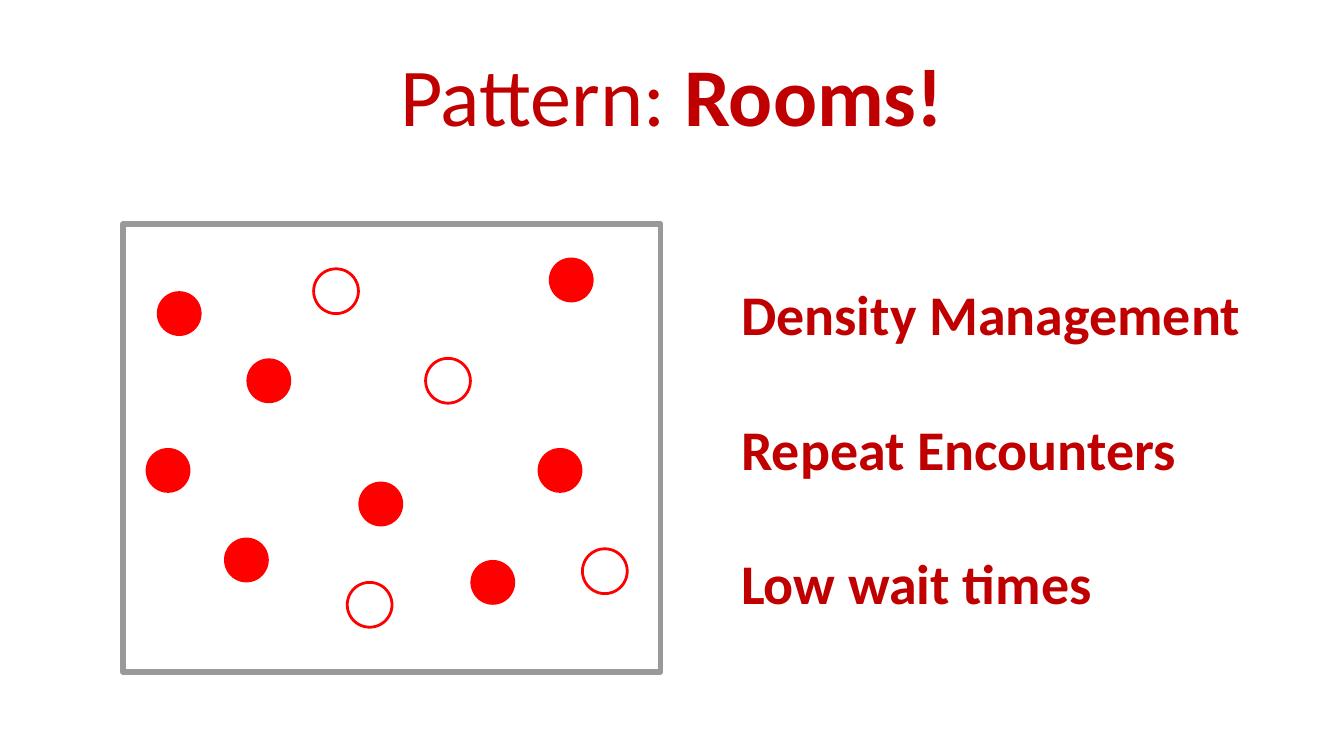
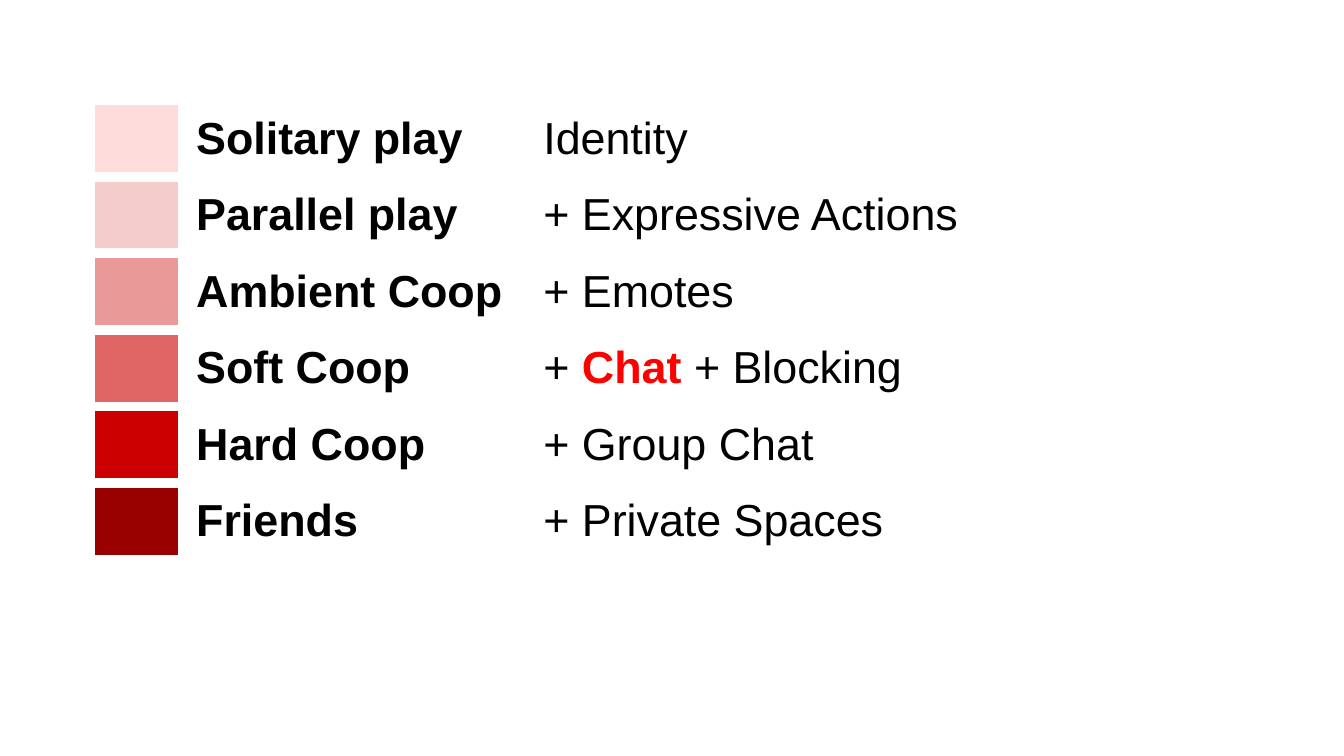
from typing import NamedTuple, Optional

import pptx
import pptx.dml.color
import pptx.enum.shapes
import pptx.enum.text
import pptx.oxml
import pptx.oxml.ns
import pptx.util

RGBColor = pptx.dml.color.RGBColor
MSO_SHAPE = pptx.enum.shapes.MSO_SHAPE
MSO_ANCHOR = pptx.enum.text.MSO_ANCHOR
PP_ALIGN = pptx.enum.text.PP_ALIGN

WHITE = RGBColor(0xFF, 0xFF, 0xFF)
BLACK = RGBColor(0x00, 0x00, 0x00)
RED = RGBColor(0xFF, 0x00, 0x00)
DARK_RED = RGBColor(0xC0, 0x00, 0x00)
GREY = RGBColor(0x99, 0x99, 0x99)

HEADING_FONT = "Calibri"
TABLE_FONT = "Arial"
WIDTH = pptx.util.Inches(10)
HEIGHT = pptx.util.Inches(5.625)
UNIT = WIDTH / 120
DOT_SIZE = 4


class Box(NamedTuple):
    col: float
    row: float
    cols: float
    rows: float

    def emu(self) -> list[int]:
        return [round(v * UNIT) for v in self]


class Dot(NamedTuple):
    col: int
    row: int
    filled: bool = True


class Span(NamedTuple):
    text: str
    bold: bool = False
    color: RGBColor = BLACK


class Stage(NamedTuple):
    color: RGBColor
    name: str
    features: list[Span]


TITLE = Box(6, 2.7, 108, 11.25)
ROOM = Box(11, 20, 48, 40)
BENEFITS = Box(65, 20, 51, 40)
TABLE = Box(8.04, 8.95, 105, 30)
COLUMN_UNITS = (8.28, 31, 65.72)

DOTS = [
    Dot(14, 26), Dot(22, 32), Dot(13, 40), Dot(32, 43),
    Dot(48, 40), Dot(42, 50), Dot(20, 48), Dot(49, 23),
    Dot(28, 24, False), Dot(38, 32, False),
    Dot(31, 52, False), Dot(52, 49, False),
]

STAGES = [
    Stage(RGBColor(0xFF, 0xDB, 0xDB), "Solitary play", [Span("Identity")]),
    Stage(RGBColor(0xF4, 0xCC, 0xCC), "Parallel play", [Span("+ Expressive Actions")]),
    Stage(RGBColor(0xEA, 0x99, 0x99), "Ambient Coop", [Span("+ Emotes")]),
    Stage(RGBColor(0xE0, 0x66, 0x66), "Soft Coop",
          [Span("+ "), Span("Chat ", True, RED), Span("+ Blocking")]),
    Stage(RGBColor(0xCC, 0x00, 0x00), "Hard Coop", [Span("+ Group Chat")]),
    Stage(RGBColor(0x99, 0x00, 0x00), "Friends", [Span("+ Private Spaces")]),
]


def write(p, spans: list[Span], font: str, size: float) -> None:
    for span in spans:
        r = p.add_run()
        r.text = span.text
        if len(spans) > 1:
            r.font.bold = span.bold
            r.font.color.rgb = span.color
    p.font.name = font
    p.font.size = pptx.util.Pt(size)
    if len(spans) == 1:
        p.font.bold = spans[0].bold
        p.font.color.rgb = spans[0].color


def add_heading(s, box: Box, lines: list[list[Span]], size: float,
                align: PP_ALIGN, gap: float = 0) -> None:
    tf = s.shapes.add_textbox(*box.emu()).text_frame
    tf.word_wrap = True
    tf.vertical_anchor = MSO_ANCHOR.MIDDLE
    for i, spans in enumerate(lines):
        p = tf.add_paragraph() if i else tf.paragraphs[0]
        p.alignment = align
        if i and gap:
            p.space_before = pptx.util.Pt(gap)
        write(p, spans, HEADING_FONT, size)


def add_figure(s, kind: MSO_SHAPE, box: Box, fill: Optional[RGBColor],
               line: Optional[RGBColor] = None, weight: float = 0) -> None:
    sp = s.shapes.add_shape(kind, *box.emu())
    sp.shadow.inherit = False
    if fill is None:
        sp.fill.background()
    else:
        sp.fill.solid()
        sp.fill.fore_color.rgb = fill
    if line is None:
        sp.line.fill.background()
    else:
        sp.line.color.rgb = line
        sp.line.width = pptx.util.Pt(weight)


def set_borders(cell, color: RGBColor, weight: float) -> None:
    tcPr = cell._tc.get_or_add_tcPr()
    ns = pptx.oxml.ns.nsdecls("a")
    for i, side in enumerate(("lnL", "lnR", "lnT", "lnB")):
        tcPr.insert(i, pptx.oxml.parse_xml(
            f'<a:{side} {ns} w="{pptx.util.Pt(weight)}"><a:solidFill>'
            f'<a:srgbClr val="{color}"/></a:solidFill></a:{side}>'))


def build_rooms(s) -> None:
    add_heading(s, TITLE, [[Span("Pattern: ", False, DARK_RED), Span("Rooms!", True, DARK_RED)]],
                44, PP_ALIGN.CENTER)
    add_figure(s, MSO_SHAPE.RECTANGLE, ROOM, None, GREY, 3)
    for dot in DOTS:
        box = Box(dot.col, dot.row, DOT_SIZE, DOT_SIZE)
        if dot.filled:
            add_figure(s, MSO_SHAPE.OVAL, box, RED)
        else:
            add_figure(s, MSO_SHAPE.OVAL, box, None, RED, 1.5)
    benefits = ("Density Management", "Repeat Encounters", "Low wait times")
    add_heading(s, BENEFITS, [[Span(b, True, DARK_RED)] for b in benefits],
                30, PP_ALIGN.LEFT, 36)


def build_stages(s) -> None:
    table = s.shapes.add_table(len(STAGES), len(COLUMN_UNITS), *TABLE.emu()).table
    table.first_row = False
    table.horz_banding = False
    for column, units in zip(table.columns, COLUMN_UNITS):
        column.width = round(units * UNIT)
    for row, stage in zip(table.rows, STAGES):
        contents = ([], [Span(stage.name, True)], stage.features)
        for cell, spans in zip(row.cells, contents):
            cell.margin_left = cell.margin_right = pptx.util.Inches(0.1)
            cell.margin_top = cell.margin_bottom = pptx.util.Inches(0.085)
            cell.vertical_anchor = MSO_ANCHOR.MIDDLE
            if spans:
                cell.fill.background()
                write(cell.text_frame.paragraphs[0], spans, TABLE_FONT, 24)
            else:
                cell.fill.solid()
                cell.fill.fore_color.rgb = stage.color
            set_borders(cell, WHITE, 6)


def main() -> None:
    prs = pptx.Presentation()
    prs.slide_width = WIDTH
    prs.slide_height = HEIGHT
    for build in (build_rooms, build_stages):
        build(prs.slides.add_slide(prs.slide_layouts[6]))
    prs.save("out.pptx")


if __name__ == "__main__":
    main()
